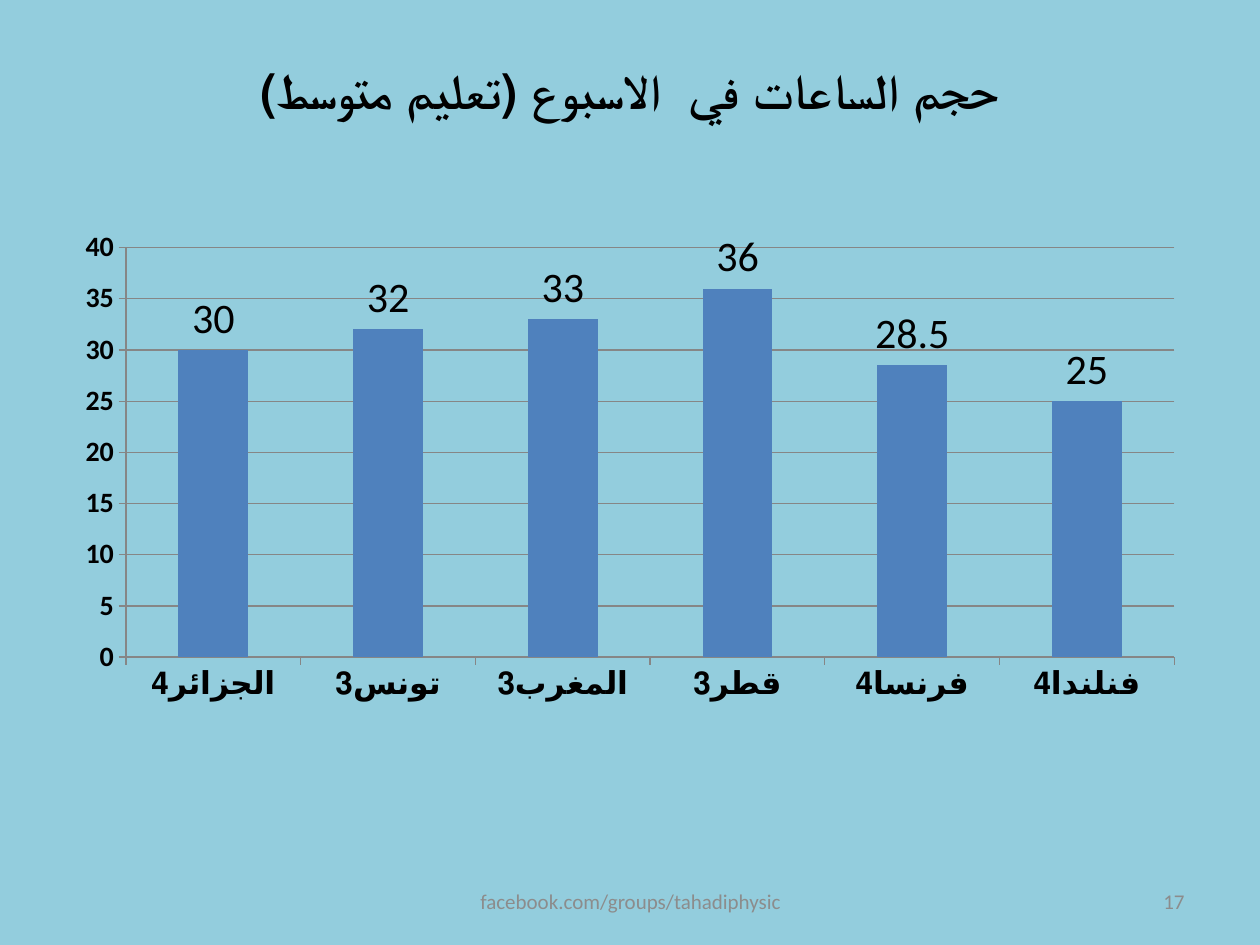
import pptx
import pptx.chart.data
import pptx.dml.color
import pptx.enum.chart
import pptx.enum.text
import pptx.util
from pptx.util import Cm, Pt

TITLE = "حجم الساعات في  الاسبوع (تعليم متوسط)"
WEEKLY_HOURS = {
    "الجزائر4": 30,
    "تونس3": 32,
    "المغرب3": 33,
    "قطر3": 36,
    "فرنسا4": 28.5,
    "فنلندا4": 25,
}
ALIGN = pptx.enum.text.PP_ALIGN
FOOTERS = [  # text, left, width, alignment
    ("facebook.com/groups/tahadiphysic", 8.69, 8.05, ALIGN.CENTER),
    ("17", 18.21, 5.92, ALIGN.RIGHT),
]
COLORS = {"background": "93CDDD", "text": "000000", "bar": "4F81BD",
          "line": "868686", "footer": "8C8C8C"}
FONT = "Calibri"
MARGIN, CONTENT_W = Cm(1.27), Cm(22.86)


def rgb(name):
    return pptx.dml.color.RGBColor.from_string(COLORS[name])


def set_attrs(obj, **values):
    for name, value in values.items():
        setattr(obj, name, value)


def set_font(font, size, color="text", bold=False):
    set_attrs(font, name=FONT, size=Pt(size), bold=bold)
    font.color.rgb = rgb(color)


def add_title(s):
    sp = s.shapes.title
    set_attrs(sp, left=MARGIN, top=Cm(0.76), width=CONTENT_W, height=Cm(3.18))
    tf = sp.text_frame
    set_attrs(tf, text=TITLE, word_wrap=True, margin_bottom=Cm(1.2),
              vertical_anchor=pptx.enum.text.MSO_ANCHOR.MIDDLE)
    p = tf.paragraphs[0]
    p.alignment = ALIGN.CENTER
    p._p.get_or_add_pPr().set("rtl", "1")
    set_font(p.runs[0].font, 28, bold=True)


def add_hours_chart(s):
    data = pptx.chart.data.CategoryChartData()
    data.categories = list(WEEKLY_HOURS)
    data.add_series("Series 1", list(WEEKLY_HOURS.values()))
    chart = s.shapes.add_chart(
        pptx.enum.chart.XL_CHART_TYPE.COLUMN_CLUSTERED,
        MARGIN, Cm(4.45), CONTENT_W, Cm(9.88), data).chart
    set_attrs(chart, has_legend=False, has_title=False)
    set_font(chart.font, 10)

    for axis, size in ((chart.category_axis, 18), (chart.value_axis, 16)):
        axis.major_tick_mark = pptx.enum.chart.XL_TICK_MARK.OUTSIDE
        set_font(axis.tick_labels.font, size, bold=True)
        axis.format.line.color.rgb = rgb("line")
    axis = chart.value_axis
    set_attrs(axis, minimum_scale=0, maximum_scale=40, major_unit=5,
              has_major_gridlines=True)
    axis.major_gridlines.format.line.color.rgb = rgb("line")

    plot = chart.plots[0]
    set_attrs(plot, gap_width=150, vary_by_categories=False)
    series = plot.series[0]
    series.format.fill.solid()
    series.format.fill.fore_color.rgb = rgb("bar")
    labels = series.data_labels
    set_attrs(labels, show_value=True,
              position=pptx.enum.chart.XL_LABEL_POSITION.OUTSIDE_END)
    set_font(labels.font, 24)


def add_footer(s, text, left, width, alignment):
    tf = s.shapes.add_textbox(Cm(left), Cm(17.65), Cm(width), Cm(1.02)).text_frame
    set_attrs(tf, text=text, word_wrap=True,
              vertical_anchor=pptx.enum.text.MSO_ANCHOR.MIDDLE)
    p = tf.paragraphs[0]
    p.alignment = alignment
    set_font(p.runs[0].font, 12, "footer")


def main():
    prs = pptx.Presentation()
    set_attrs(prs, slide_width=Cm(25.4), slide_height=Cm(19.05))
    s = prs.slides.add_slide(prs.slide_layouts.get_by_name("Title Only"))
    s.background.fill.solid()
    s.background.fill.fore_color.rgb = rgb("background")
    add_title(s)
    add_hours_chart(s)
    for footer in FOOTERS:
        add_footer(s, *footer)
    prs.save("out.pptx")


if __name__ == "__main__":
    main()
